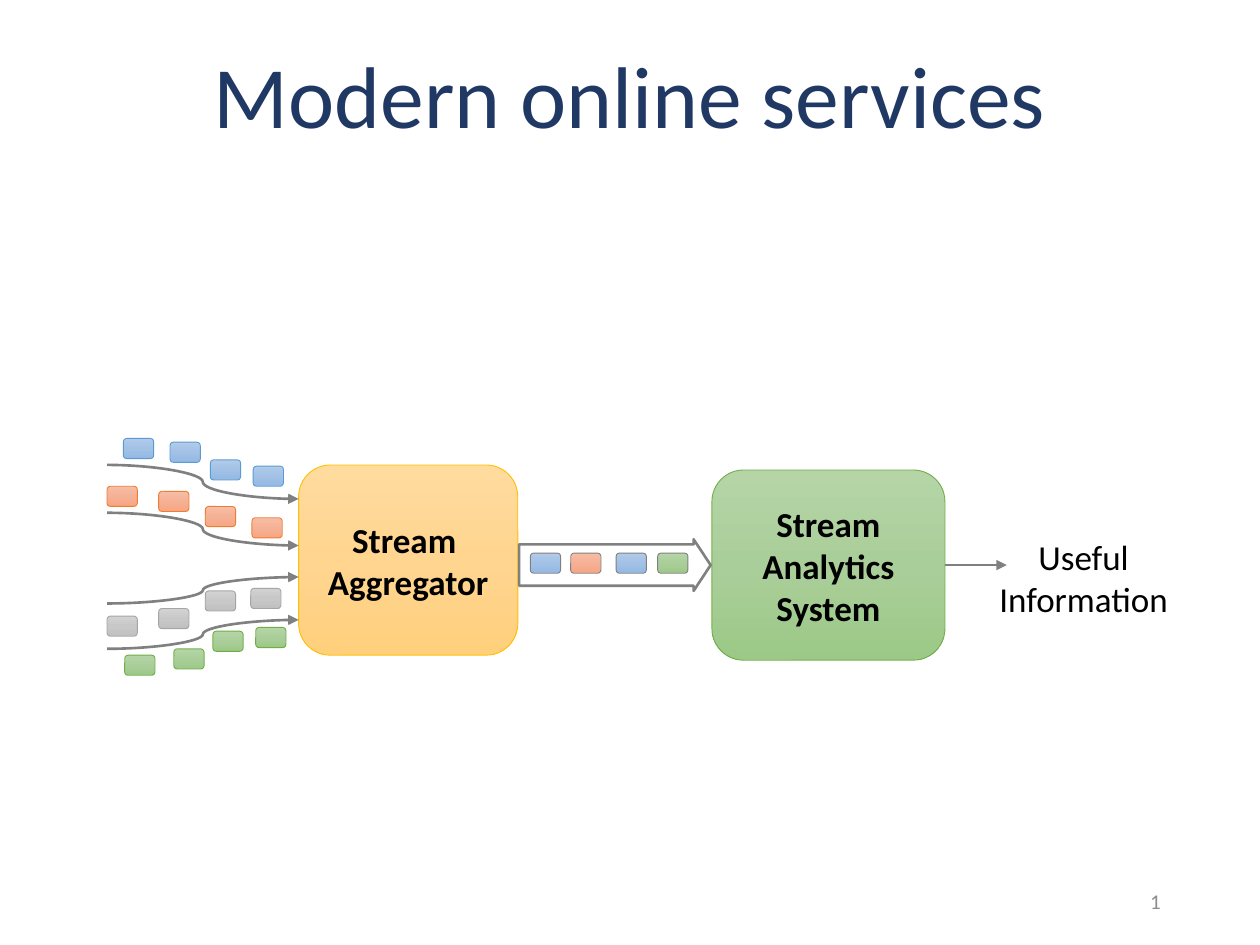
from copy import deepcopy

from lxml import etree
from pptx import Presentation
from pptx.dml.color import RGBColor
from pptx.enum.shapes import MSO_CONNECTOR, MSO_SHAPE
from pptx.enum.text import MSO_ANCHOR, PP_ALIGN
from pptx.oxml.ns import qn
from pptx.util import Inches, Pt

ROUND, ARROW = MSO_SHAPE.ROUNDED_RECTANGLE, MSO_SHAPE.RIGHT_ARROW
CURVE, STRAIGHT = MSO_CONNECTOR.CURVE, MSO_CONNECTOR.STRAIGHT
CENTER, RIGHT = PP_ALIGN.CENTER, PP_ALIGN.RIGHT
TOP, MIDDLE = MSO_ANCHOR.TOP, MSO_ANCHOR.MIDDLE

GREY = "808080"
# Gradient from top to bottom, then the outline colour
BLUE = ("B1CBE9", "A3C1E5", "93B9E4", "5B9BD5")
ORANGE = ("F7BDA5", "F5B196", "F8A582", "ED7D31")
SILVER = ("D2D2D2", "C8C8C8", "C0C0C0", "A5A5A5")
GREEN = ("B5D5A7", "AACE9A", "9CC987", "70AD47")
GOLD = ("FFDB9E", "FFD590", "FFD07C", "FFC000")


def paint(color, value):
    color.rgb = RGBColor.from_string(value)


class Board:
    font = "Calibri"

    def __init__(self, slide):
        self.shapes = slide.shapes

    def label(self, shape, lines, size, color="000000", bold=False,
              align=CENTER, anchor=MIDDLE, wrap=True, space=None):
        frame = shape.text_frame
        frame.text = "\n".join(lines)
        frame.word_wrap = wrap
        frame.vertical_anchor = anchor
        for para in frame.paragraphs:
            para.alignment = align
            para.line_spacing = space
            para.font.name = self.font
            para.font.size = Pt(size)
            para.font.bold = bold
            paint(para.font.color, color)

    def text(self, box, lines, size, **style):
        shape = self.shapes.add_textbox(*map(Inches, box))
        self.label(shape, lines, size, **style)

    def outline(self, kind, box, color, width):
        shape = self.shapes.add_shape(kind, *map(Inches, box))
        shape.shadow.inherit = False
        paint(shape.line.color, color)
        shape.line.width = Pt(width)
        return shape

    def block(self, box, tones, edge=None):
        shape = self.outline(ROUND, box, edge or tones[3], 0.5)
        fill = shape.fill
        fill.gradient()
        fill.gradient_angle = 270
        first = shape._element.spPr.find(".//" + qn("a:gs"))
        first.addnext(deepcopy(first))
        for stop, place, tone in zip(fill.gradient_stops, (0, 0.5, 1), tones):
            stop.position = place
            paint(stop.color, tone)
        return shape

    def packet(self, left, top, tones, edge=None):
        self.block((left, top, 0.24, 0.16), tones, edge)

    def pipe(self, box, adjust):
        shape = self.outline(ARROW, box, GREY, 1.5)
        shape.fill.background()
        for i, value in enumerate(adjust):
            shape.adjustments[i] = value

    def link(self, kind, start, end):
        line = self.shapes.add_connector(kind, *map(Inches, start + end))
        paint(line.line.color, GREY)
        line.line.width = Pt(1.5)
        etree.SubElement(line.line._get_or_add_ln(), qn("a:tailEnd"),
                         type="triangle")
        etree.SubElement(line._element.spPr, qn("a:effectLst"))
        return line


def main():
    deck = Presentation()
    deck.slide_width, deck.slide_height = Inches(10), Inches(7.5)
    board = Board(deck.slides.add_slide(deck.slide_layouts[6]))

    # Title and page number
    board.text((0.69, 0.3, 8.62, 0.99), ["Modern online services"], 50,
               color="203864", space=0.9)
    board.text((7.06, 6.95, 2.25, 0.4), ["1"], 12, color="8C8C8C", align=RIGHT)

    # Main stages
    merge = board.block((2.37, 3.69, 1.74, 1.51), GOLD)
    board.label(merge, ["Stream ", "Aggregator"], 20, bold=True)
    study = board.block((5.65, 3.73, 1.85, 1.51), GREEN)
    board.label(study, ["Stream Analytics System"], 20, bold=True)

    # Merged stream between the stages
    for left, top, tones in ((4.21, 4.39, BLUE), (4.53, 4.39, ORANGE),
                             (4.89, 4.39, BLUE), (5.22, 4.39, GREEN)):
        board.packet(left, top, tones, GREY)
    board.pipe((4.12, 4.28, 1.52, 0.41), (0.8, 0.33))

    # Input streams: colours, curve start and end heights, packet places
    streams = (
        (BLUE, 3.69, 3.96,
         ((0.98, 3.48), (1.35, 3.51), (1.67, 3.65), (2.01, 3.7))),
        (ORANGE, 4.07, 4.33,
         ((0.85, 3.86), (1.26, 3.9), (1.63, 4.02), (2, 4.11))),
        (SILVER, 4.79, 4.58,
         ((0.85, 4.89), (1.26, 4.83), (1.63, 4.69), (1.99, 4.67))),
        (GREEN, 5.15, 4.92,
         ((0.99, 5.2), (1.38, 5.15), (1.69, 5.01), (2.03, 4.98))),
    )
    for tones, start, end, spots in streams:
        board.link(CURVE, (0.85, start), (2.37, end))
        for left, top in spots:
            board.packet(left, top, tones)

    # Result
    out = board.link(STRAIGHT, (7.5, 4.48), (7.99, 4.48))
    out.begin_connect(study, 3)
    out.end_y = out.begin_y
    board.text((7.79, 4.2, 1.62, 0.77), ["Useful", "Information"], 20,
               anchor=TOP, wrap=False)

    deck.save("out.pptx")


if __name__ == "__main__":
    main()
